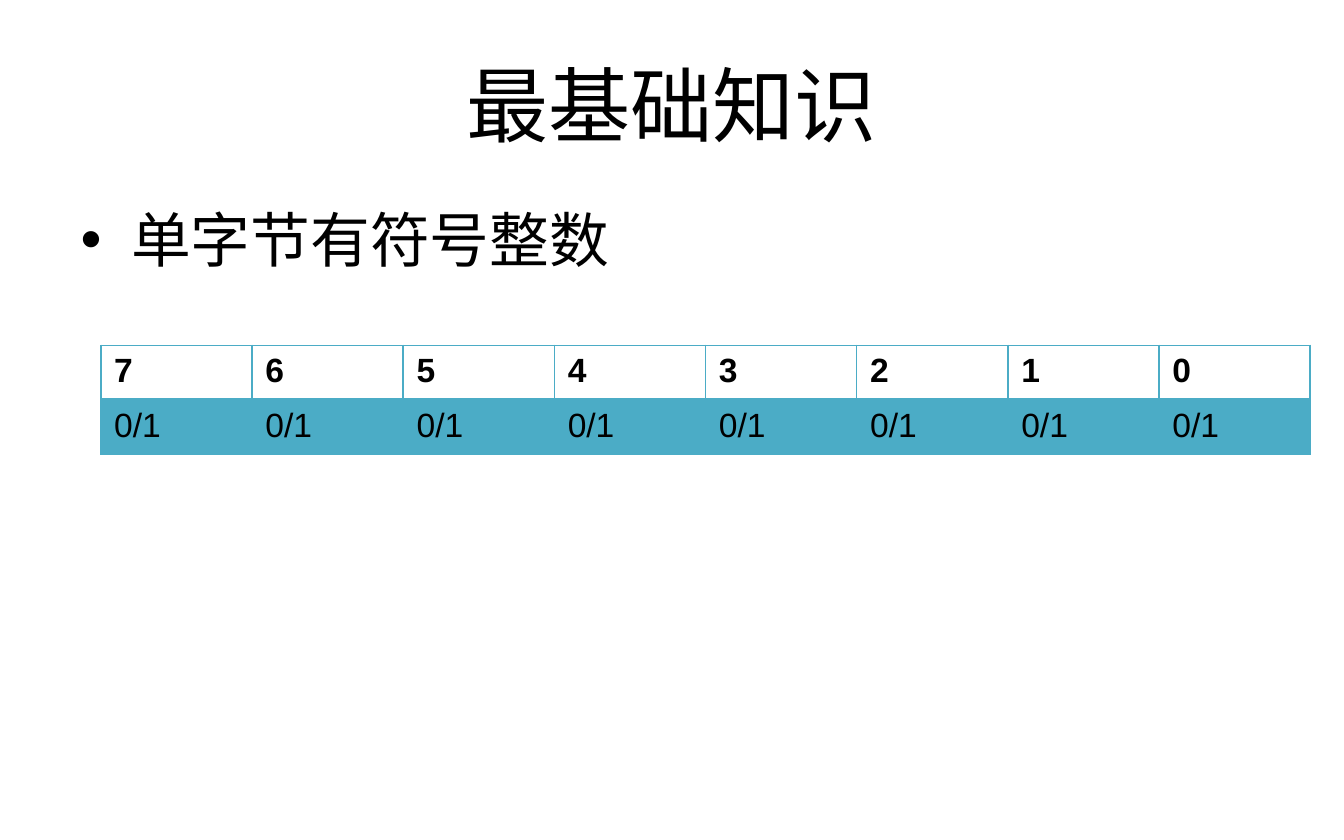
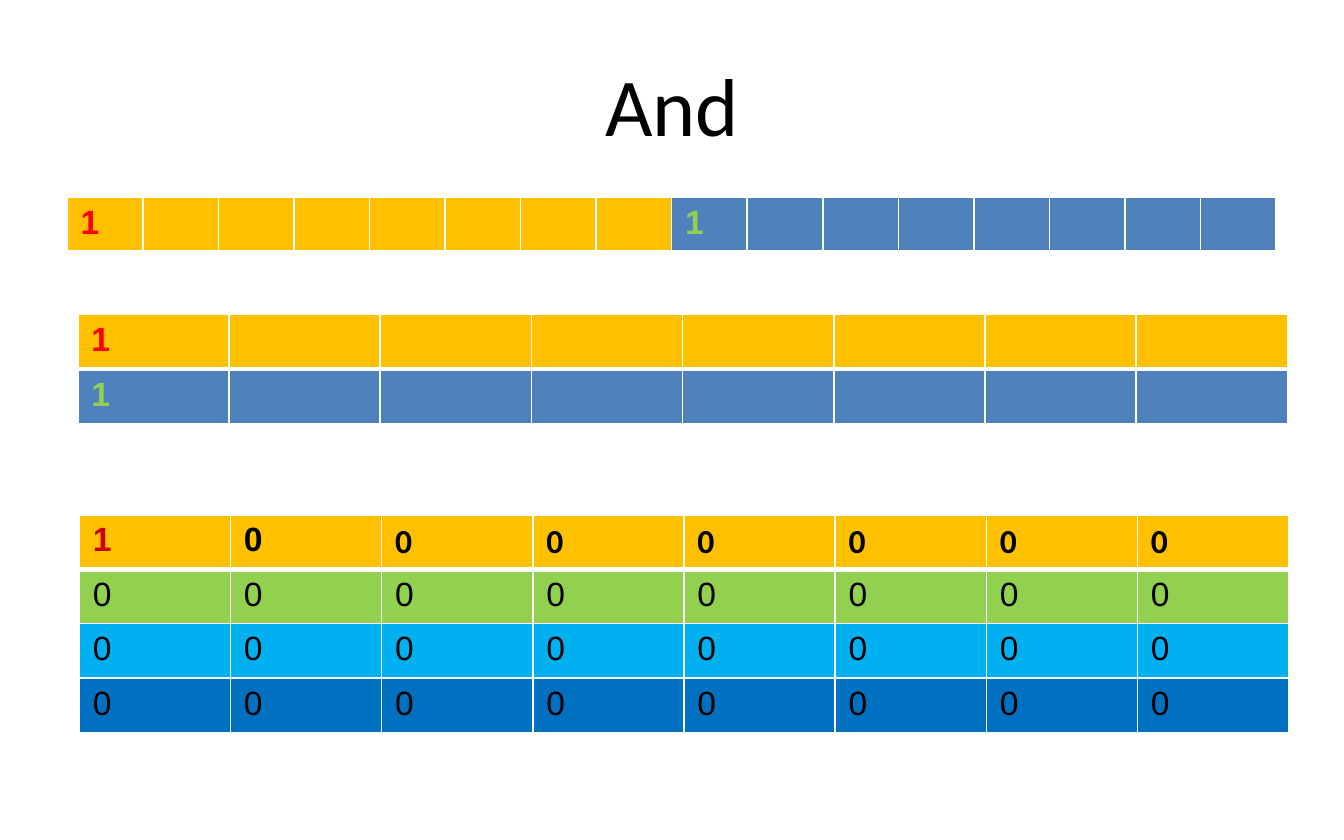
import pptx
import pptx.util
import pptx.dml.color
import pptx.enum.text
import pptx.oxml
import pptx.oxml.ns

COLORS = {
    "black": "000000", "white": "FFFFFF", "teal": "4BACC6",
    "amber": "FFC000", "steel": "4F81BD", "red": "FF0000",
    "dark_red": "CC0000", "green": "92D050", "sky": "00B0F0", "blue": "0070C0",
}
HEADING_FONT, CELL_FONT = "Calibri", "Arial"
GRID_COLUMNS, GRID_ROWS = 40, 25
CELL_ROWS = 1.62


class Deck:
    def __init__(self, width, height):
        self.prs = pptx.Presentation()
        self.prs.slide_width = pptx.util.Inches(width)
        self.prs.slide_height = pptx.util.Inches(height)
        self.slide = None

    def x(self, columns):
        return round(self.prs.slide_width * columns / GRID_COLUMNS)

    def y(self, rows):
        return round(self.prs.slide_height * rows / GRID_ROWS)

    def rgb(self, color):
        return pptx.dml.color.RGBColor.from_string(COLORS[color])

    def style(self, text_frame, size, font, color="black", bold=None):
        for paragraph in text_frame.paragraphs:
            for run in paragraph.runs:
                run.font.size = pptx.util.Pt(size)
                run.font.name = font
                run.font.bold = bold
                run.font.color.rgb = self.rgb(color)

    def place(self, holder, column, row, columns, rows):
        holder.left, holder.top = self.x(column), self.y(row)
        holder.width, holder.height = self.x(columns), self.y(rows)

    def add_slide(self, heading, layout):
        self.slide = self.prs.slides.add_slide(self.prs.slide_layouts.get_by_name(layout))
        title = self.slide.shapes.title
        self.place(title, 2, 1, 36, 4.17)
        title.text_frame.text = heading
        title.text_frame.paragraphs[0].alignment = pptx.enum.text.PP_ALIGN.CENTER
        self.style(title.text_frame, 44, HEADING_FONT)

    def bullets(self, text):
        body = self.slide.placeholders[1]
        self.place(body, 2, 5.83, 36, 16.5)
        body.text_frame.text = text
        self.style(body.text_frame, 32, HEADING_FONT)

    def borders(self, cell, color, widths):
        properties = cell._tc.get_or_add_tcPr()
        for side, width in widths.items():
            properties.append(pptx.oxml.parse_xml(
                f'<a:ln{side} {pptx.oxml.ns.nsdecls("a")} w="{pptx.util.Pt(width)}">'
                f'<a:solidFill><a:srgbClr val="{COLORS[color]}"/></a:solidFill>'
                f'</a:ln{side}>'))

    def fill(self, cell, color, opacity=100):
        if color is None:
            cell.fill.background()
            return
        cell.fill.solid()
        cell.fill.fore_color.rgb = self.rgb(color)
        if opacity < 100:
            swatch = cell._tc.tcPr.find(".//" + pptx.oxml.ns.qn("a:srgbClr"))
            swatch.append(pptx.oxml.parse_xml(
                f'<a:alpha {pptx.oxml.ns.nsdecls("a")} val="{opacity * 1000}"/>'))

    def bit_table(self, column, row, values, fills, line="white", rule=3, opacity=100,
                  inks=None, fonts=None):
        inks, fonts = inks or {}, fonts or {}
        count = len(values[0])
        table = self.slide.shapes.add_table(
            len(values), count, self.x(column), self.y(row),
            self.x(36), self.y(CELL_ROWS * len(values))).table
        table.first_row = table.horz_banding = False
        for bits in table.columns:
            bits.width = self.x(36 / count)
        for r, texts in enumerate(values):
            table.rows[r].height = self.y(CELL_ROWS)
            widths = {"L": 1, "R": 1, "T": rule if r == 1 else 1, "B": rule if r == 0 else 1}
            for c, text in enumerate(texts):
                cell = table.cell(r, c)
                self.borders(cell, line, widths)
                self.fill(cell, fills[r][c], opacity)
                if text:
                    ink = inks.get((r, c), "black")
                    bold = r == 0 or ink != "black"
                    cell.text_frame.text = text
                    self.style(cell.text_frame, 18, fonts.get((r, c), CELL_FONT), ink, bold)


deck = Deck(10, 6.25)
BITS = 8
first_bit = ["1"] + [""] * (BITS - 1)

deck.add_slide("最基础知识", "Title and Content")
deck.bullets("单字节有符号整数")
bit_numbers = [str(bit) for bit in reversed(range(BITS))]
deck.bit_table(3, 10.28, [bit_numbers, ["0/1"] * BITS],
               [[None] * BITS, ["teal"] * BITS], line="teal", rule=2, opacity=20)

deck.add_slide("And", "Title Only")
high_byte, low_byte = ["amber"] * BITS, ["steel"] * BITS
deck.bit_table(2, 5.88, [first_bit * 2], [high_byte + low_byte],
               inks={(0, 0): "red", (0, BITS): "green"})
deck.bit_table(2.32, 9.36, [first_bit] * 2, [high_byte, low_byte],
               inks={(0, 0): "red", (1, 0): "green"})
deck.bit_table(2.36, 15.32, [["1"] + ["0"] * (BITS - 1)] + [["0"] * BITS] * 3,
               [[color] * BITS for color in ("amber", "green", "sky", "blue")],
               inks={(0, 0): "dark_red"},
               fonts={(0, bit): HEADING_FONT for bit in range(2, BITS)})

deck.prs.save("out.pptx")
